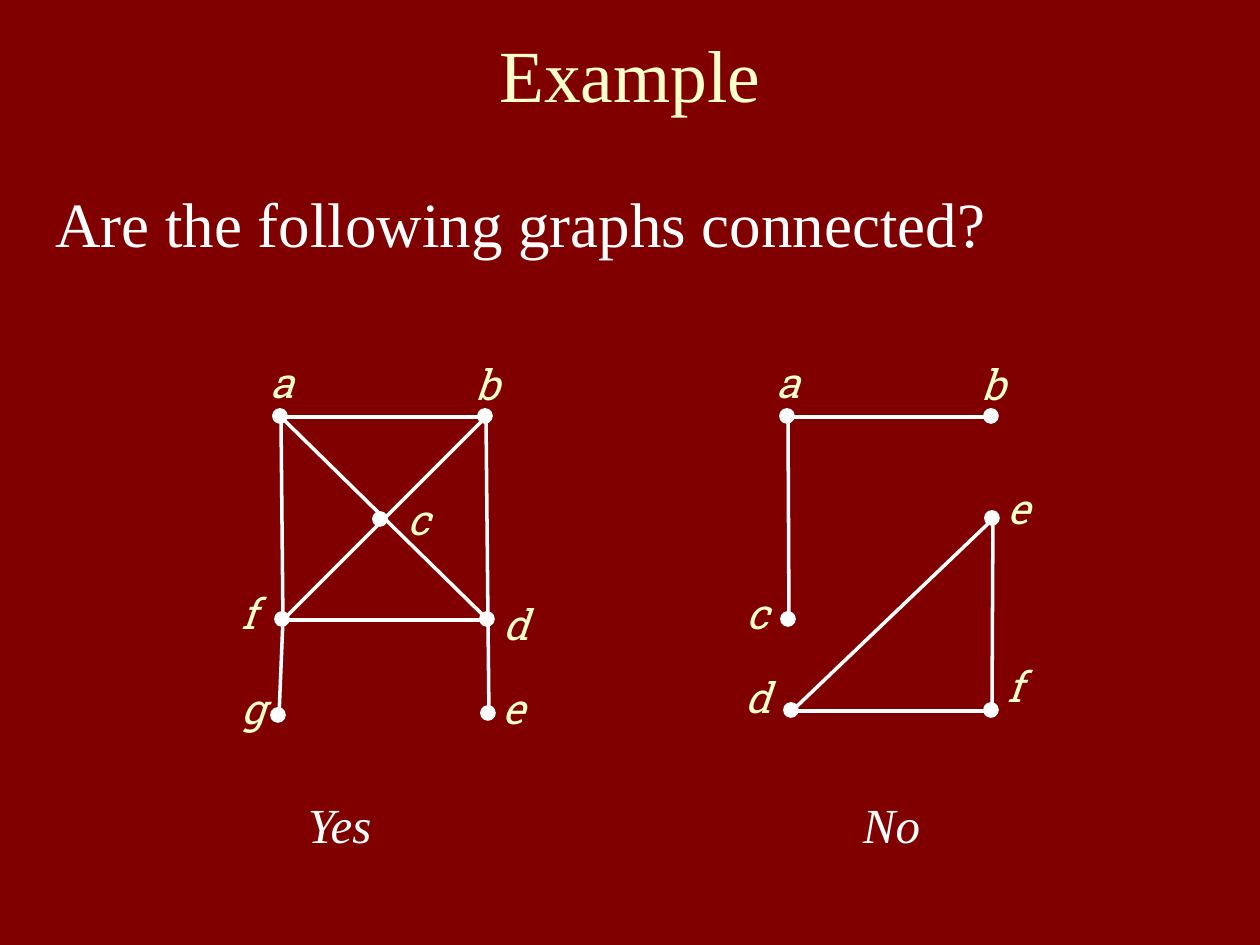
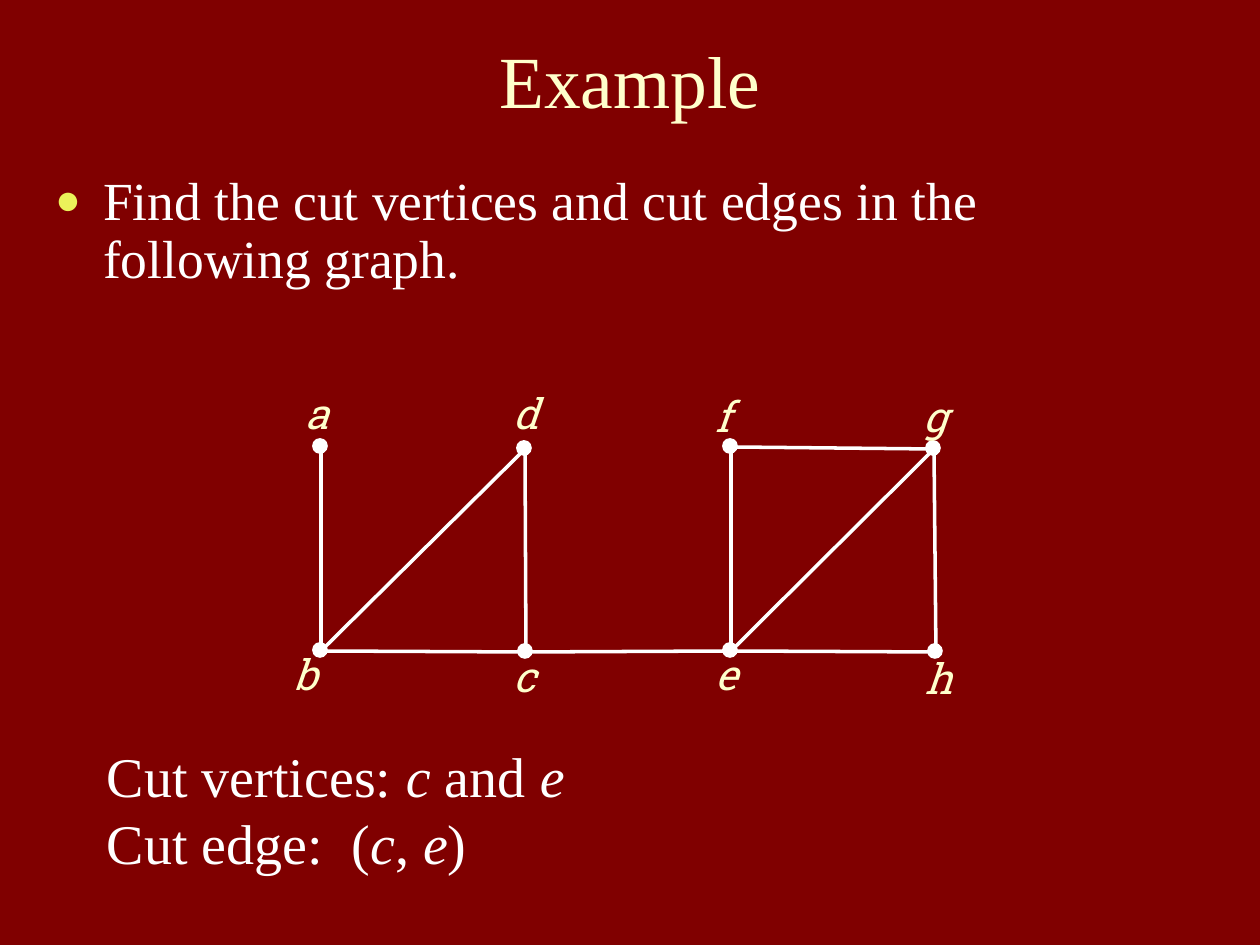
from lxml import etree
from pptx import Presentation
from pptx.dml.color import RGBColor
from pptx.enum.shapes import MSO_CONNECTOR, MSO_SHAPE
from pptx.enum.text import MSO_ANCHOR, MSO_AUTO_SIZE, PP_ALIGN
from pptx.oxml.ns import qn
from pptx.util import Emu, Pt

LINE, DOT = MSO_CONNECTOR.STRAIGHT, MSO_SHAPE.OVAL
TOP, MID = MSO_ANCHOR.TOP, MSO_ANCHOR.MIDDLE
LEFT, CENTER = PP_ALIGN.LEFT, PP_ALIGN.CENTER
FIXED = MSO_AUTO_SIZE.NONE
COLORS = {"back": "800000", "cream": "FFFFCC", "white": "FFFFFF",
          "bullet": "EBF25A"}
SERIF, SLAB = "Times New Roman", "Roboto Slab"
SCALE = 914400 / 126  # EMU in one px
DOT_SIZE = 14
INDENT = 48
NUDGE = 1  # edges run just below and right of the dot centres


def px(n):
    return Emu(round(n * SCALE))


def color(name):
    return RGBColor.from_string(COLORS[name])


def set_bullet(para, char):
    """Hang the first line, with a bullet if a character is given."""
    props = para._p.get_or_add_pPr()
    props.set("marL", str(px(INDENT)))
    props.set("indent", str(-px(INDENT)))
    if not char:
        etree.SubElement(props, qn("a:buNone"))
        return
    tint = etree.SubElement(props, qn("a:buClr"))
    etree.SubElement(tint, qn("a:srgbClr"), val=COLORS["bullet"])
    etree.SubElement(props, qn("a:buSzPct"), val="80000")
    etree.SubElement(props, qn("a:buChar"), char=char)


def write(shape, text, box, size, font=SERIF, tone="white", align=LEFT,
          anchor=TOP, pad=(13, 6), bullet=None, space=1.0):
    """Place a shape and fill it; *stars* enclose italic words."""
    shape.left, shape.top, shape.width, shape.height = map(px, box)
    frame = shape.text_frame
    frame.word_wrap = True
    frame.auto_size = FIXED
    frame.vertical_anchor = anchor
    frame.margin_left = frame.margin_right = px(pad[0])
    frame.margin_top = frame.margin_bottom = px(pad[1])
    for i, line in enumerate(text.split("\n")):
        para = frame.add_paragraph() if i else frame.paragraphs[0]
        if bullet is not None:
            set_bullet(para, bullet)
        para.alignment = align
        para.line_spacing = space
        para.space_before = Pt(0)
        for j, part in enumerate(line.split("*")):
            if not part:
                continue
            run = para.add_run()
            run.text = part
            run.font.name, run.font.size = font, Pt(size)
            run.font.italic = j % 2 == 1
            run.font.color.rgb = color(tone)


def add_text(slide, text, box, size, **style):
    write(slide.shapes.add_textbox(0, 0, 0, 0), text, box, size, **style)


def add_edge(slide, start, end):
    ends = [px(n + NUDGE) for n in (*start, *end)]
    edge = slide.shapes.add_connector(LINE, *ends)
    edge.line.color.rgb = color("white")
    edge.line.width = Pt(2)
    etree.SubElement(edge._element.spPr, qn("a:effectLst"))


def add_dot(slide, x, y):
    half = DOT_SIZE / 2
    dot = slide.shapes.add_shape(DOT, px(x - half), px(y - half),
                                 px(DOT_SIZE), px(DOT_SIZE))
    dot.shadow.inherit = False
    dot.fill.solid()
    dot.fill.fore_color.rgb = color("white")
    dot.line.color.rgb = color("white")
    dot.line.width = Pt(1)


def add_graph(slide, left, top, nodes, edges):
    """Draw a graph from its first vertex at (left, top)."""
    spots = {name: (left + x, top + y) for name, (x, y, *_) in nodes.items()}
    for start, end in edges.split():
        add_edge(slide, spots[start], spots[end])
    for name, (_, _, dx, dy) in nodes.items():
        x, y = spots[name]
        add_dot(slide, x, y)
        add_text(slide, f"*{name}*", (x + dx, y + dy, 40, 50), 24,
                 font=SLAB, tone="cream", pad=(0, 0))


def add_slide(prs, title_box, body, body_box, size, **style):
    slide = prs.slides.add_slide(prs.slide_layouts[1])
    write(slide.shapes.title, "Example", title_box, 42, tone="cream",
          align=CENTER, anchor=MID)
    write(slide.placeholders[1], body, body_box, size, **style)
    return slide


# Each vertex: dot centre from the first vertex, label corner from the dot
JOINED = {"a": (0, 0, -9, -59), "b": (205, 0, -9, -57),
          "c": (100, 103, 28, -25), "d": (207, 203, 17, -20),
          "e": (208, 297, 15, -30), "f": (2, 203, -40, -31),
          "g": (-2, 299, -36, -32)}
SPLIT = {"a": (0, 0, -10, -59), "b": (204, 0, -9, -57),
         "c": (1, 203, -41, -31), "d": (4, 294, -45, -38),
         "e": (205, 102, 16, -35), "f": (204, 294, 17, -49)}
CUT = {"a": (0, 0, -14, -58), "b": (0, 204, -26, -1),
       "c": (205, 205, -11, 0), "d": (204, 2, -10, -60),
       "e": (410, 204, -14, -1), "f": (410, 0, -14, -55),
       "g": (613, 2, -9, -57), "h": (615, 205, -9, 2)}


def add_connected(prs):
    slide = add_slide(prs, (63, 21, 1134, 105),
                      "Are the following graphs connected?",
                      (42, 179, 1134, 103), 36, bullet="")
    add_graph(slide, 280, 416, JOINED, "ab af bd fd ad bf fg de")
    add_graph(slide, 787, 416, SPLIT, "ab ac de ef df")
    # Answers
    for word, x in (("Yes", 295), ("No", 850)):
        add_text(slide, f"*{word}*", (x, 788, 150, 72), 28)


def add_cuts(prs):
    slide = add_slide(prs, (63, 21, 1134, 116),
                      "Find the cut vertices and cut edges in the "
                      "following graph.",
                      (42, 168, 1071, 147), 30.6, bullet="●", space=0.9)
    add_graph(slide, 320, 446, CUT, "ab bd cd bc ce eh ef fg gh eg")
    # Answers
    add_text(slide, "Cut vertices: *c* and *e*\nCut edge:  (*c*, *e*)",
             (94, 735, 1134, 147), 32)


def main():
    prs = Presentation()
    prs.slide_width, prs.slide_height = px(1260), px(945)
    back = prs.slide_master.background.fill
    back.solid()
    back.fore_color.rgb = color("back")
    add_connected(prs)
    add_cuts(prs)
    prs.save("out.pptx")


if __name__ == "__main__":
    main()
